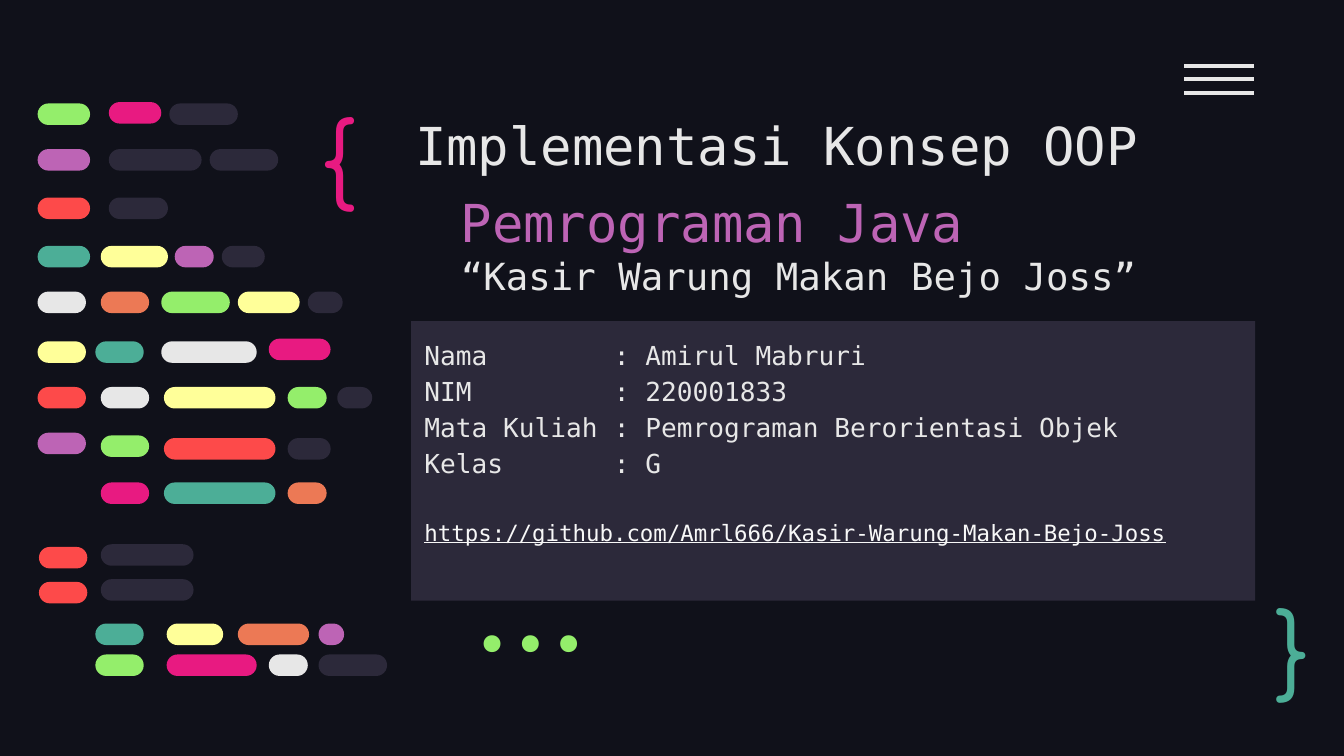
"""Build the title slide of a Java OOP project."""
from pptx import Presentation, oxml
from pptx.dml.color import RGBColor
from pptx.enum import shapes, text
from pptx.oxml import ns
from pptx.util import Inches, Pt

NIGHT = RGBColor(0x10, 0x11, 0x1A)
SLATE = RGBColor(0x2C, 0x29, 0x3A)
WHITE = RGBColor(0xE7, 0xE7, 0xE7)
SNOW = RGBColor(0xF8, 0xF8, 0xF8)
PURPLE = RGBColor(0xBD, 0x64, 0xB5)
PINK = RGBColor(0xE8, 0x1A, 0x81)
TEAL = RGBColor(0x4C, 0xAE, 0x97)
GREEN = RGBColor(0x94, 0xEE, 0x6B)
RED = RGBColor(0xFD, 0x4A, 0x4A)
YELLOW = RGBColor(0xFF, 0xFF, 0x99)
ORANGE = RGBColor(0xEC, 0x79, 0x55)

MONO = "DejaVu Sans Mono"
TITLE = [
    ("Implementasi Konsep OOP", 28, WHITE, 0, 0),
    ("Pemrograman Java", 28, PURPLE, 0.34, 10.5),
    ("“Kasir Warung Makan Bejo Joss”", 20, WHITE, 0.34, 2.5),
]
FACTS = [
    ("Nama", "Amirul Mabruri"),
    ("NIM", "220001833"),
    ("Mata Kuliah", "Pemrograman Berorientasi Objek"),
    ("Kelas", "G"),
]
LINK = "https://github.com/Amrl666/Kasir-Warung-Makan-Bejo-Joss"
TOP, MID, LOW = text.MSO_ANCHOR.TOP, text.MSO_ANCHOR.MIDDLE, text.MSO_ANCHOR.BOTTOM
LEFT, RIGHT = text.PP_ALIGN.LEFT, text.PP_ALIGN.RIGHT
MARKS = [
    ("{", (2.29, 0.62, 0.77, 0.95), "Comfortaa", PINK, TOP, LEFT),
    ("}", (9.39, 4.38, 0.57, 0.83), "Comfortaa", TEAL, MID, LEFT),
    ("...", (3.11, 4.49, 1.58, 0.6), "Fira Code", GREEN, LOW, RIGHT),
]
PILLS = [
    (0.76, [(0.81, 0.39, PINK)]),
    (0.77, [(0.28, 0.39, GREEN), (1.26, 0.51, SLATE)]),
    (1.11, [(0.28, 0.39, PURPLE), (0.81, 0.69, SLATE), (1.56, 0.51, SLATE)]),
    (1.47, [(0.28, 0.39, RED), (0.81, 0.44, SLATE)]),
    (1.83, [(0.28, 0.39, TEAL), (0.75, 0.5, YELLOW), (1.3, 0.29, PURPLE),
            (1.65, 0.32, SLATE)]),
    (2.17, [(0.28, 0.36, WHITE), (0.75, 0.36, ORANGE), (1.2, 0.51, GREEN),
            (1.77, 0.46, YELLOW), (2.29, 0.26, SLATE)]),
    (2.52, [(2, 0.46, PINK)]),
    (2.54, [(0.28, 0.36, YELLOW), (0.71, 0.36, TEAL), (1.2, 0.71, WHITE)]),
    (2.88, [(0.28, 0.36, RED), (0.75, 0.36, WHITE), (1.22, 0.83, YELLOW),
            (2.14, 0.29, GREEN), (2.51, 0.26, SLATE)]),
    (3.22, [(0.28, 0.36, PURPLE)]),
    (3.24, [(0.75, 0.36, GREEN)]),
    (3.26, [(1.22, 0.83, RED), (2.14, 0.32, SLATE)]),
    (3.59, [(0.75, 0.36, PINK), (1.22, 0.83, TEAL), (2.14, 0.29, ORANGE)]),
    (4.05, [(0.75, 0.69, SLATE)]),
    (4.07, [(0.29, 0.36, RED)]),
    (4.31, [(0.75, 0.69, SLATE)]),
    (4.33, [(0.29, 0.36, RED)]),
    (4.64, [(0.71, 0.36, TEAL), (1.24, 0.42, YELLOW), (1.77, 0.53, ORANGE),
            (2.37, 0.19, PURPLE)]),
    (4.87, [(0.71, 0.36, GREEN), (1.24, 0.67, PINK), (2, 0.29, WHITE),
            (2.37, 0.51, SLATE)]),
]


def setup(frame, anchor):
    frame.word_wrap = True
    frame.vertical_anchor = anchor
    frame.margin_left = frame.margin_right = Inches(0.1)
    frame.margin_top = frame.margin_bottom = Inches(0.1)
    return frame


def add_box(slide, box, anchor):
    return setup(slide.shapes.add_textbox(*map(Inches, box)).text_frame, anchor)


def add_para(frame, first):
    return frame.paragraphs[0] if first else frame.add_paragraph()


def add_run(para, words, size, color, face=MONO):
    run = para.add_run()
    run.text = words
    run.font.size = Pt(size)
    run.font.name = face
    run.font.color.rgb = color
    return run


def add_block(parent, kind, box, color):
    block = parent.add_shape(kind, *map(Inches, box))
    block.shadow.inherit = False
    block.fill.solid()
    block.fill.fore_color.rgb = color
    block.line.fill.background()
    return block


def add_title(slide):
    frame = add_box(slide, (2.99, 0.76, 6.34, 1.56), LOW)
    for i, (words, size, color, indent, gap) in enumerate(TITLE):
        para = add_para(frame, i == 0)
        para.line_spacing = 0.9
        if i:
            para.space_before = Pt(gap)
            para._p.get_or_add_pPr().set("marL", str(Inches(indent)))
        add_run(para, words, size, color)


def add_facts(slide):
    panel = add_block(slide.shapes, shapes.MSO_SHAPE.RECTANGLE,
                      (3.06, 2.39, 6.28, 2.08), SLATE)
    frame = setup(panel.text_frame, TOP)
    for i, (label, value) in enumerate(FACTS):
        para = add_para(frame, i == 0)
        para.alignment = LEFT
        para.line_spacing = 1.15
        tabs = oxml.parse_xml(
            f'<a:tabLst {ns.nsdecls("a")}>'
            f'<a:tab pos="{Inches(1.41)}" algn="l"/></a:tabLst>')
        para._p.get_or_add_pPr().append(tabs)
        add_run(para, f"{label}\t: {value}", 14, WHITE)
    para = frame.add_paragraph()
    para.alignment = LEFT
    para.line_spacing = 1.15
    para.space_before = Pt(19.5)
    add_run(para, LINK, 12, SNOW).font.underline = True


def add_marks(slide):
    for words, box, face, color, anchor, align in MARKS:
        para = add_box(slide, box, anchor).paragraphs[0]
        para.alignment = align
        add_run(para, words, 50, color, face)


def add_menu(slide):
    group = slide.shapes.add_group_shape().shapes
    for i in range(3):
        y = 0.49 + 0.1 * i
        bar = group.add_connector(shapes.MSO_CONNECTOR.STRAIGHT,
                                  *map(Inches, (8.81, y, 9.33, y)))
        bar.line.color.rgb = WHITE
        bar.line.width = Pt(2.25)
        bar._element.spPr.append(
            oxml.parse_xml(f'<a:effectLst {ns.nsdecls("a")}/>'))


def add_pills(slide):
    group = slide.shapes.add_group_shape().shapes
    for top, row in PILLS:
        for left, width, color in row:
            pill = add_block(group, shapes.MSO_SHAPE.ROUNDED_RECTANGLE,
                             (left, top, width, 0.16), color)
            pill.adjustments[0] = 0.5


def main():
    deck = Presentation()
    deck.slide_width = Inches(10)
    deck.slide_height = deck.slide_width * 9 // 16
    slide = deck.slides.add_slide(deck.slide_layouts[6])
    slide.background.fill.solid()
    slide.background.fill.fore_color.rgb = NIGHT
    for step in (add_title, add_facts, add_marks, add_menu, add_pills):
        step(slide)
    deck.save("out.pptx")


if __name__ == "__main__":
    main()
